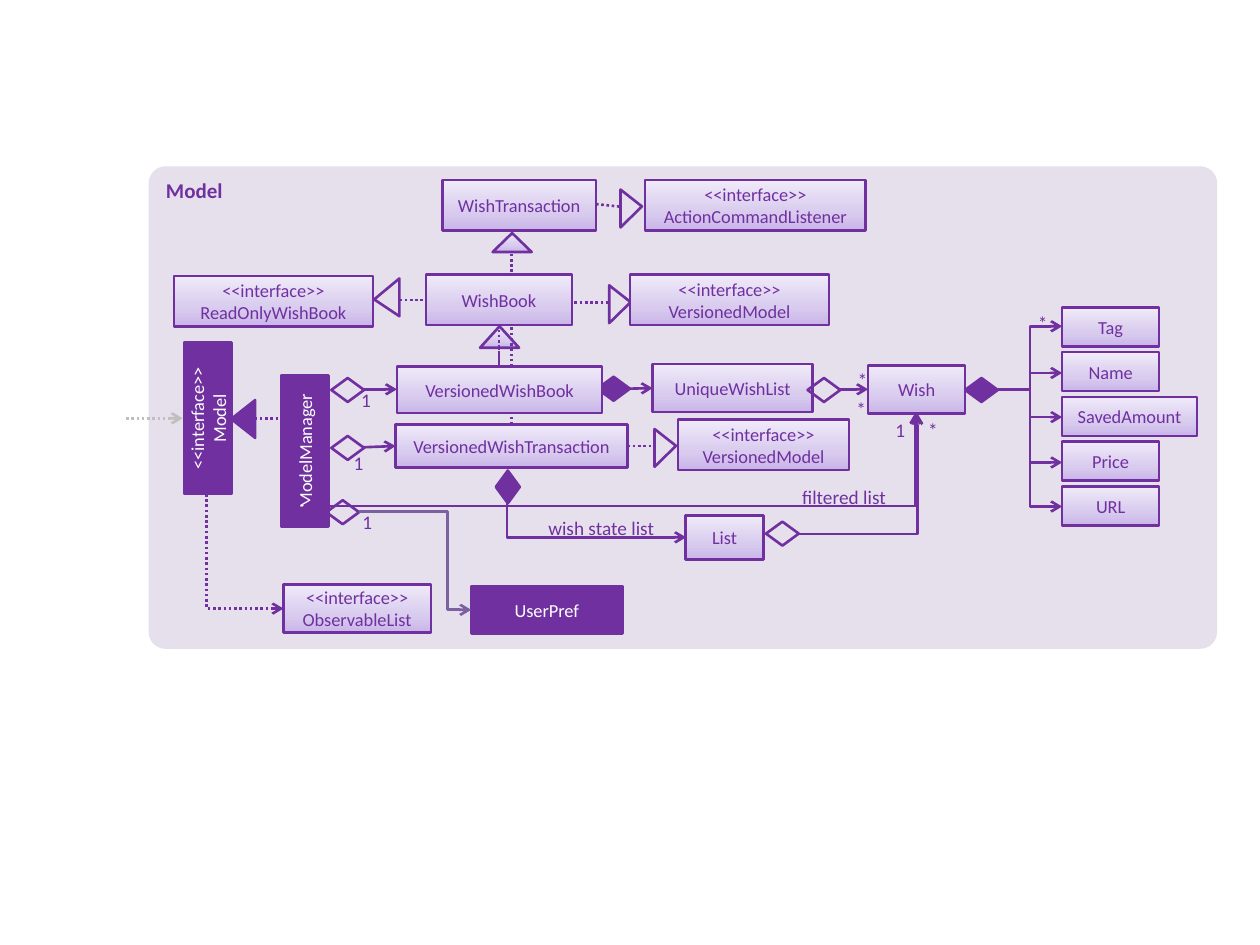
from lxml.etree import SubElement
from pptx import Presentation
from pptx.dml.color import RGBColor
from pptx.enum.dml import MSO_LINE
from pptx.enum.shapes import MSO_CONNECTOR, MSO_SHAPE
from pptx.enum.text import MSO_ANCHOR, PP_ALIGN
from pptx.oxml import parse_xml
from pptx.oxml.ns import nsdecls, qn
from pptx.util import Inches, Pt

PURPLE, PANEL, WHITE = "7030A0", "E6E0EC", "FFFFFF"
GRADIENT = (
    f'<a:gradFill {nsdecls("a")} rotWithShape="1"><a:gsLst>'
    + "".join(
        f'<a:gs pos="{pos}"><a:srgbClr val="{color}"/></a:gs>'
        for pos, color in ((0, "C9B5E8"), (35000, "D8CBEE"), (100000, "F0EAF9"))
    )
    + '</a:gsLst><a:lin ang="16200000" scaled="0"/></a:gradFill>'
)

deck = Presentation()
deck.slide_width, deck.slide_height = Inches(10), Inches(7.5)
page = deck.slides.add_slide(deck.slide_layouts[6])
rgb = RGBColor.from_string


def add_node(kind, left, top, width, height, fill, text="", rotation=0):
    node = page.shapes.add_shape(
        kind, Inches(left), Inches(top), Inches(width), Inches(height))
    node.shadow.inherit = False
    node.rotation = rotation
    if fill == "gradient":
        node._element.spPr.find(qn("a:prstGeom")).addnext(parse_xml(GRADIENT))
    elif fill:
        node.fill.solid()
        node.fill.fore_color.rgb = rgb(fill)
    else:
        node.fill.background()
    node.line.color.rgb = rgb(PURPLE)
    node.line.width = Pt(1.5)
    if text:
        node.text_frame.text = text
        node.text_frame.vertical_anchor = MSO_ANCHOR.MIDDLE
        for para in node.text_frame.paragraphs:
            para.alignment = PP_ALIGN.CENTER
            para.font.name, para.font.size = "Calibri", Pt(10.5)
            para.font.color.rgb = rgb(WHITE if fill == PURPLE else PURPLE)
    return node


def add_link(x1, y1, x2, y2, color=PURPLE, dotted=False, arrow=True,
             preset="line", rotation=0, bend=None):
    kind = MSO_CONNECTOR.STRAIGHT if preset == "line" else MSO_CONNECTOR.ELBOW
    link = page.shapes.add_connector(
        kind, Inches(x1), Inches(y1), Inches(x2), Inches(y2))
    link.line.color.rgb = rgb(color)
    link.line.width = Pt(1.5)
    if dotted:
        link.line.dash_style = MSO_LINE.ROUND_DOT
    properties = link._element.spPr
    geometry = properties.find(qn("a:prstGeom"))
    geometry.set("prst", preset)
    if bend is not None:
        guides = geometry.get_or_add_avLst()
        SubElement(guides, qn("a:gd"), name="adj1", fmla=f"val {round(bend * 100000)}")
    if rotation:
        properties.find(qn("a:xfrm")).set("rot", str(rotation * 60000))
    if arrow:
        SubElement(properties.find(qn("a:ln")), qn("a:tailEnd"), type="arrow")
    SubElement(properties, qn("a:effectLst"))


panel = add_node(MSO_SHAPE.ROUNDED_RECTANGLE, 1.18, 1.32, 8.48, 3.83, PANEL, "Model")
panel.adjustments[0] = 0.035
panel.line.fill.background()
panel.text_frame.vertical_anchor = MSO_ANCHOR.TOP
title = panel.text_frame.paragraphs[0]
title.alignment = PP_ALIGN.LEFT
title.font.size, title.font.bold = Pt(12), True

for left, top, text, rotation in (
    (3.74, 4.65, "UserPref", 0),
    (1.82, 3.39, "ModelManager", 270),
    (1.05, 3.13, "<<interface>>\nModel", 270),
):
    add_node(MSO_SHAPE.RECTANGLE, left, top, 1.2, 0.38, PURPLE, text, rotation)

for left, top, width, text in (
    (5.18, 2.89, 1.27, "UniqueWishList"), (6.89, 2.9, 0.77, "Wish"),
):
    add_node(MSO_SHAPE.RECTANGLE, left, top, width, 0.38, "gradient", text)

for left, top, width, height, fill, rotation, tip in (
    (1.78, 3.23, 0.3, 0.19, PURPLE, 270, 0.5),
    (3.81, 2.59, 0.31, 0.17, "gradient", 0, 0.5),
    (3.91, 1.85, 0.31, 0.15, "gradient", 0, 0.5),
    (2.92, 2.26, 0.3, 0.2, PANEL, 270, 0.445),
    (5.13, 3.47, 0.3, 0.17, PANEL, 90, 0.445),
    (4.77, 2.33, 0.3, 0.17, PANEL, 90, 0.445),
    (4.86, 1.57, 0.3, 0.17, PANEL, 90, 0.445),
):
    triangle = add_node(
        MSO_SHAPE.ISOSCELES_TRIANGLE, left, top, width, height, fill, rotation=rotation)
    triangle.adjustments[0] = tip

for left, top, fill, rotation in (
    (2.59, 3.97, None, 0), (2.63, 3, None, 0), (2.63, 3.46, None, 0),
    (6.41, 3, None, 0), (6.08, 4.14, None, 0),
    (4.74, 2.99, PURPLE, 0), (7.66, 3, PURPLE, 0), (3.9, 3.77, PURPLE, 90),
):
    add_node(MSO_SHAPE.FLOWCHART_DECISION, left, top, 0.26, 0.19, fill, rotation=rotation)

for ends in (
    (2.89, 3.09, 3.15, 3.09), (2.88, 3.55, 3.14, 3.54), (4.78, 3.09, 5.18, 3.08),
    (6.67, 3.09, 6.89, 3.09), (8.17, 2.96, 8.43, 2.96),
):
    add_link(*ends)
for ends in (
    (2.02, 3.32, 2.26, 3.32), (3.96, 2.76, 3.96, 2.91), (4.06, 3.37, 4.06, 2.01),
    (3.17, 2.38, 3.38, 2.38), (4.98, 3.54, 5.19, 3.54), (4.73, 1.62, 4.92, 1.64),
):
    add_link(*ends, dotted=True, arrow=False)
add_link(1, 3.32, 1.45, 3.32, color="BFBFBF", dotted=True)

for field_middle in (2.59, 3.31, 3.67, 4.02):
    add_link(7.92, 3.09, 8.43, field_middle, preset="bentConnector3", bend=0.5)
add_link(5.29, 6.15, 4.39, 1.3, preset="bentConnector3", rotation=90, bend=0.177)
add_link(2.85, 4.06, 3.74, 4.84, color="7D60A0", preset="bentConnector3", bend=0.789)
add_link(2.4, 4.07, 1.49, 4.68, dotted=True, preset="bentConnector2", rotation=270)
add_link(3.96, 2.91, 4.83, 2.4, dotted=True, arrow=False,
         preset="bentConnector2", rotation=180)
add_link(4.87, 3.42, 4.6, 4.84, preset="bentConnector2", rotation=270)
add_link(6.33, 4.24, 7.28, 3.28, preset="bentConnector2")

for left, top, width, height, text in (
    (1.38, 2.19, 1.58, 0.4, "<<interface>>\vReadOnlyWishBook"),
    (2.25, 4.64, 1.17, 0.38, "<<interface>>\vObservableList"),
    (3.14, 3.37, 1.84, 0.34, "VersionedWishTransaction"),
    (3.51, 1.43, 1.22, 0.4, "WishTransaction"),
    (5.38, 3.33, 1.36, 0.4, "<<interface>>\vVersionedModel"),
    (5, 2.18, 1.58, 0.4, "<<interface>>\vVersionedModel"),
    (3.38, 2.18, 1.16, 0.4, "WishBook"),
    (3.15, 2.91, 1.63, 0.37, "VersionedWishBook"),
    (5.12, 1.43, 1.75, 0.4, "<<interface>>\vActionCommandListener"),
    (5.44, 4.09, 0.62, 0.35, "List"),
):
    add_node(MSO_SHAPE.RECTANGLE, left, top, width, height, "gradient", text)

for row, field in enumerate(("Tag", "Name", "SavedAmount", "Price", "URL")):
    width = 1.07 if field == "SavedAmount" else 0.77
    add_node(MSO_SHAPE.RECTANGLE, 8.43, 2.44 + row * 0.355, width, 0.31, "gradient", field)

for left, top, width, height, text, inset, alignment in (
    (6.17, 3.8, 0.96, 0.29, "filtered list", True, PP_ALIGN.RIGHT),
    (4.17, 4.05, 1.12, 0.29, "wish state list", True, PP_ALIGN.RIGHT),
    (4.84, 3.4, 0.21, 0.2, "1", False, PP_ALIGN.CENTER),
    (2.81, 3.08, 0.19, 0.15, "1", False, PP_ALIGN.CENTER),
    (2.75, 3.58, 0.19, 0.15, "1", False, PP_ALIGN.CENTER),
    (2.81, 4.05, 0.21, 0.2, "1", False, PP_ALIGN.CENTER),
    (7.04, 3.32, 0.21, 0.2, "1", False, PP_ALIGN.CENTER),
    (6.74, 2.92, 0.21, 0.2, "*", False, PP_ALIGN.CENTER),
    (6.73, 3.15, 0.21, 0.2, "*", False, PP_ALIGN.CENTER),
    (7.3, 3.32, 0.21, 0.2, "*", False, PP_ALIGN.CENTER),
    (8.17, 2.47, 0.21, 0.2, "*", False, PP_ALIGN.CENTER),
):
    if (left, top) == (4.84, 3.4):
        continue
    label = page.shapes.add_textbox(Inches(left), Inches(top), Inches(width), Inches(height))
    frame = label.text_frame
    frame.word_wrap = True
    if not inset:
        frame.margin_left = frame.margin_right = frame.margin_top = frame.margin_bottom = 0
    frame.text = text
    para = frame.paragraphs[0]
    para.alignment = alignment
    para.font.name, para.font.size = "Calibri", Pt(11)
    para.font.color.rgb = rgb(PURPLE)

deck.save("out.pptx")
